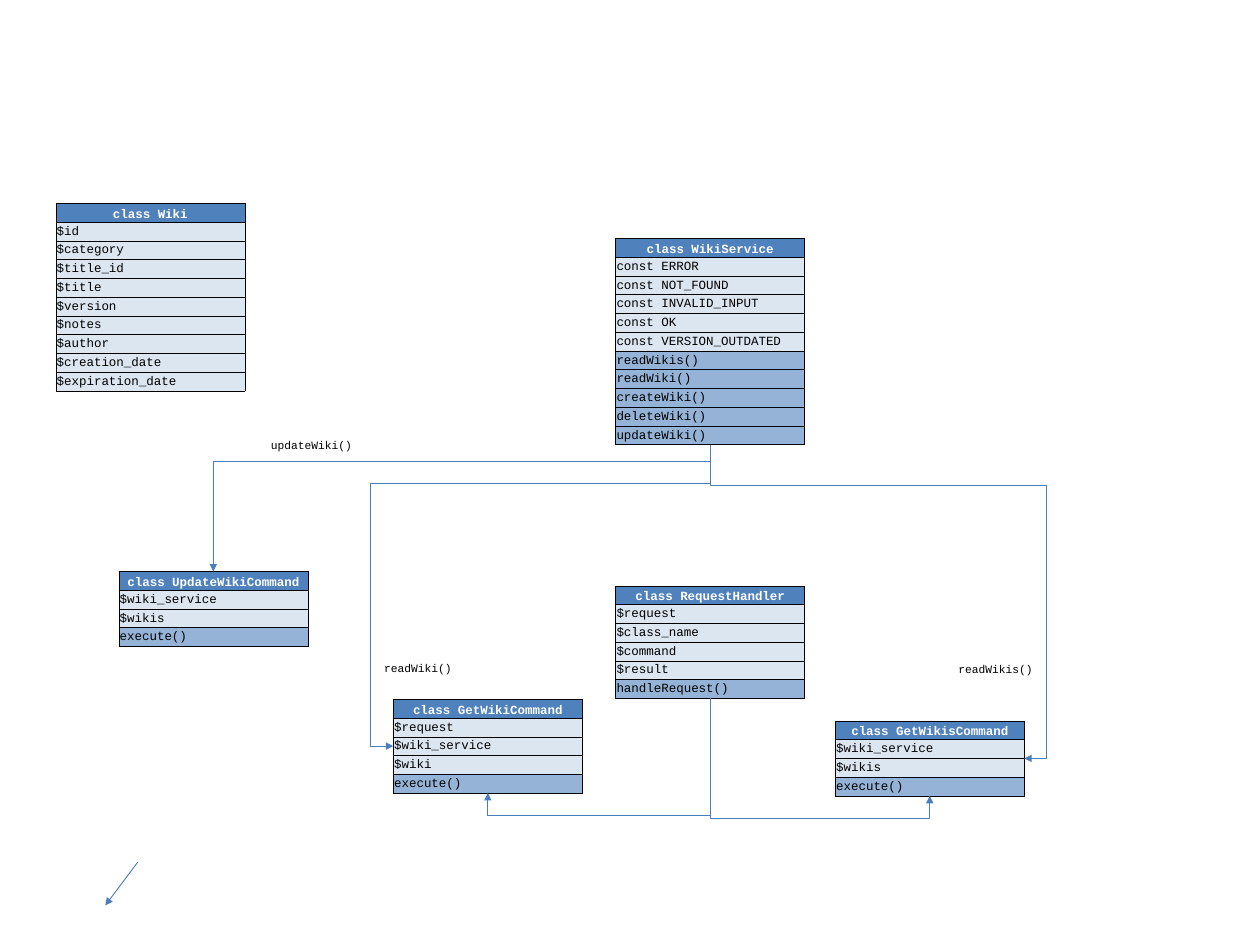
from dataclasses import dataclass

from lxml import etree
from pptx import Presentation
from pptx.dml.color import RGBColor
from pptx.enum.shapes import MSO_CONNECTOR
from pptx.enum.text import MSO_ANCHOR, MSO_AUTO_SIZE, PP_ALIGN
from pptx.oxml.ns import qn
from pptx.util import Inches, Pt

STRAIGHT, ELBOW = MSO_CONNECTOR.STRAIGHT, MSO_CONNECTOR.ELBOW
BOTTOM, MIDDLE = MSO_ANCHOR.BOTTOM, MSO_ANCHOR.MIDDLE
CENTER, LEFT = PP_ALIGN.CENTER, PP_ALIGN.LEFT
FIT_SHAPE = MSO_AUTO_SIZE.SHAPE_TO_FIT_TEXT

WHITE = RGBColor(0xFF, 0xFF, 0xFF)
BLACK = RGBColor(0x00, 0x00, 0x00)
HEADER = RGBColor(0x4F, 0x81, 0xBD)
FIELD = RGBColor(0xDC, 0xE6, 0xF1)
METHOD = RGBColor(0x95, 0xB3, 0xD7)
ARROW = RGBColor(0x4B, 0x7E, 0xBC)

FONT = "Courier New"
SLIDE_W, SLIDE_H = Inches(14), Inches(10.5)
ROW_H = Pt(15)


def across(percent: float) -> int:
    """Length as a percentage of the slide width."""
    return round(SLIDE_W * percent / 100)


def down(percent: float) -> int:
    """Length as a percentage of the slide height."""
    return round(SLIDE_H * percent / 100)


CLASS_W = across(15)
LABEL_W, LABEL_H = across(11.79), down(2.38)
SIDE_GAP = across(1.79)


@dataclass(frozen=True)
class ClassBox:
    """A class with its fields and methods, placed in slide percentages."""
    name: str
    x: float
    y: float
    fields: tuple[str, ...]
    methods: tuple[str, ...] = ()

    @property
    def left(self) -> int:
        return across(self.x)

    @property
    def top(self) -> int:
        return down(self.y)

    @property
    def center(self) -> int:
        return self.left + CLASS_W // 2

    @property
    def height(self) -> int:
        return ROW_H * (1 + len(self.fields) + len(self.methods))

    @property
    def bottom(self) -> int:
        return self.top + self.height

    def port(self, side: str) -> tuple[int, int]:
        """Middle point of one side of the box."""
        middle = self.top + self.height // 2
        return {"top": (self.center, self.top),
                "bottom": (self.center, self.bottom),
                "left": (self.left, middle),
                "right": (self.left + CLASS_W, middle)}[side]


@dataclass(frozen=True)
class Call:
    """An arrow leaving the source's bottom and turning after a drop."""
    source: ClassBox
    target: ClassBox
    side: str
    drop: float


@dataclass(frozen=True)
class Label:
    """A caption beside an arrow."""
    text: str
    x: float
    y: float


SERVICE = ClassBox(
    "WikiService", 48.86, 25.24,
    ("const ERROR", "const NOT_FOUND", "const INVALID_INPUT", "const OK",
     "const VERSION_OUTDATED"),
    ("readWikis()", "readWiki()", "createWiki()", "deleteWiki()", "updateWiki()"))
HANDLER = ClassBox("RequestHandler", 48.86, 62,
                   ("$request", "$class_name", "$command", "$result"),
                   ("handleRequest()",))
WIKI = ClassBox("Wiki", 4.43, 21.52,
                ("$id", "$category", "$title_id", "$title", "$version", "$notes",
                 "$author", "$creation_date", "$expiration_date"))
GET_WIKI = ClassBox("GetWikiCommand", 31.21, 74,
                    ("$request", "$wiki_service", "$wiki"), ("execute()",))
GET_WIKIS = ClassBox("GetWikisCommand", 66.29, 76.29,
                     ("$wiki_service", "$wikis"), ("execute()",))
UPDATE_WIKI = ClassBox("UpdateWikiCommand", 9.43, 60.48,
                       ("$wiki_service", "$wikis"), ("execute()",))

CLASSES = (SERVICE, HANDLER, WIKI, GET_WIKI, GET_WIKIS, UPDATE_WIKI)
CALLS = (Call(HANDLER, GET_WIKI, "bottom", 12.38),
         Call(HANDLER, GET_WIKIS, "bottom", 12.67),
         Call(SERVICE, GET_WIKIS, "right", 4.29),
         Call(SERVICE, GET_WIKI, "left", 4.1),
         Call(SERVICE, UPDATE_WIKI, "top", 1.75))
LABELS = (Label("readWikis()", 75.36, 69.62),
          Label("readWiki()", 29.79, 69.52),
          Label("updateWiki()", 20.79, 45.9))


def style_text(p, size: float, color: RGBColor, bold: bool = False) -> None:
    """Set the font of a paragraph."""
    font = p.font
    font.name, font.size, font.bold = FONT, Pt(size), bold
    font.color.rgb = color


def add_borders(cell) -> None:
    """Draw a thin black line on every side of a cell."""
    tc_pr = cell._tc.get_or_add_tcPr()
    for i, side in enumerate(("lnL", "lnR", "lnT", "lnB")):
        ln = etree.Element(qn(f"a:{side}"), w=str(Pt(0.5)))
        fill = etree.SubElement(ln, qn("a:solidFill"))
        etree.SubElement(fill, qn("a:srgbClr"), val=str(BLACK))
        tc_pr.insert(i, ln)


def add_class(s, box: ClassBox) -> None:
    """Draw a class as a one-column table."""
    rows = [(f"class {box.name}", HEADER)]
    rows += [(text, FIELD) for text in box.fields]
    rows += [(text, METHOD) for text in box.methods]
    table = s.shapes.add_table(len(rows), 1, box.left, box.top,
                               CLASS_W, box.height).table
    table.horz_banding = False
    for i, (text, color) in enumerate(rows):
        head = i == 0
        table.rows[i].height = ROW_H
        cell = table.cell(i, 0)
        cell.margin_left = cell.margin_top = cell.margin_right = Inches(0.01)
        cell.margin_bottom = 0
        cell.vertical_anchor = BOTTOM if head else MIDDLE
        cell.fill.solid()
        cell.fill.fore_color.rgb = color
        add_borders(cell)
        p = cell.text_frame.paragraphs[0]
        p.text = text
        p.alignment = CENTER if head else LEFT
        style_text(p, 10, WHITE if head else BLACK, head)


def add_arrow(s, kind, x1: int, y1: int, x2: int, y2: int):
    """Add a connector with an arrowhead at its end."""
    arrow = s.shapes.add_connector(kind, x1, y1, x2, y2)
    arrow.line.color.rgb = ARROW
    arrow.line.width = Pt(0.75)
    etree.SubElement(arrow.line._get_or_add_ln(), qn("a:tailEnd"), type="triangle")
    etree.SubElement(arrow.element.spPr, qn("a:effectLst"))
    return arrow


def add_call(s, call: Call) -> None:
    """Draw an elbow arrow as a connector turned by a quarter."""
    x1, y1 = call.source.port("bottom")
    x2, y2 = call.target.port(call.side)
    mid_x, mid_y = (x1 + x2) // 2, (y1 + y2) // 2
    half_w, half_h = (y2 - y1) // 2, abs(x2 - x1) // 2
    rightward = x2 > x1
    if rightward:
        half_w = -half_w
    arrow = add_arrow(s, ELBOW, mid_x - half_w, mid_y - half_h,
                      mid_x + half_w, mid_y + half_h)
    sp_pr = arrow.element.spPr
    sp_pr.find(qn("a:xfrm")).set("rot", str((270 if rightward else 90) * 60000))
    bends = [down(call.drop) / (y2 - y1)]
    geom = sp_pr.find(qn("a:prstGeom"))
    if call.side in ("left", "right"):
        geom.set("prst", "bentConnector4")
        bends.append(1 + SIDE_GAP / abs(x2 - x1))
    for i, bend in enumerate(bends, 1):
        etree.SubElement(geom.find(qn("a:avLst")), qn("a:gd"), name=f"adj{i}",
                         fmla=f"val {round(bend * 100000)}")


def add_label(s, label: Label) -> None:
    """Write the caption of an arrow."""
    tf = s.shapes.add_textbox(across(label.x), down(label.y), LABEL_W, LABEL_H).text_frame
    tf.word_wrap = True
    tf.auto_size = FIT_SHAPE
    p = tf.paragraphs[0]
    p.text = label.text
    style_text(p, 9, BLACK)


prs = Presentation()
prs.slide_width, prs.slide_height = SLIDE_W, SLIDE_H
s = prs.slides.add_slide(prs.slide_layouts[6])
for box in CLASSES:
    add_class(s, box)
add_arrow(s, STRAIGHT, across(10.93), down(91.24), across(8.36), down(95.81))
for call in CALLS:
    add_call(s, call)
for label in LABELS:
    add_label(s, label)
prs.save("out.pptx")
